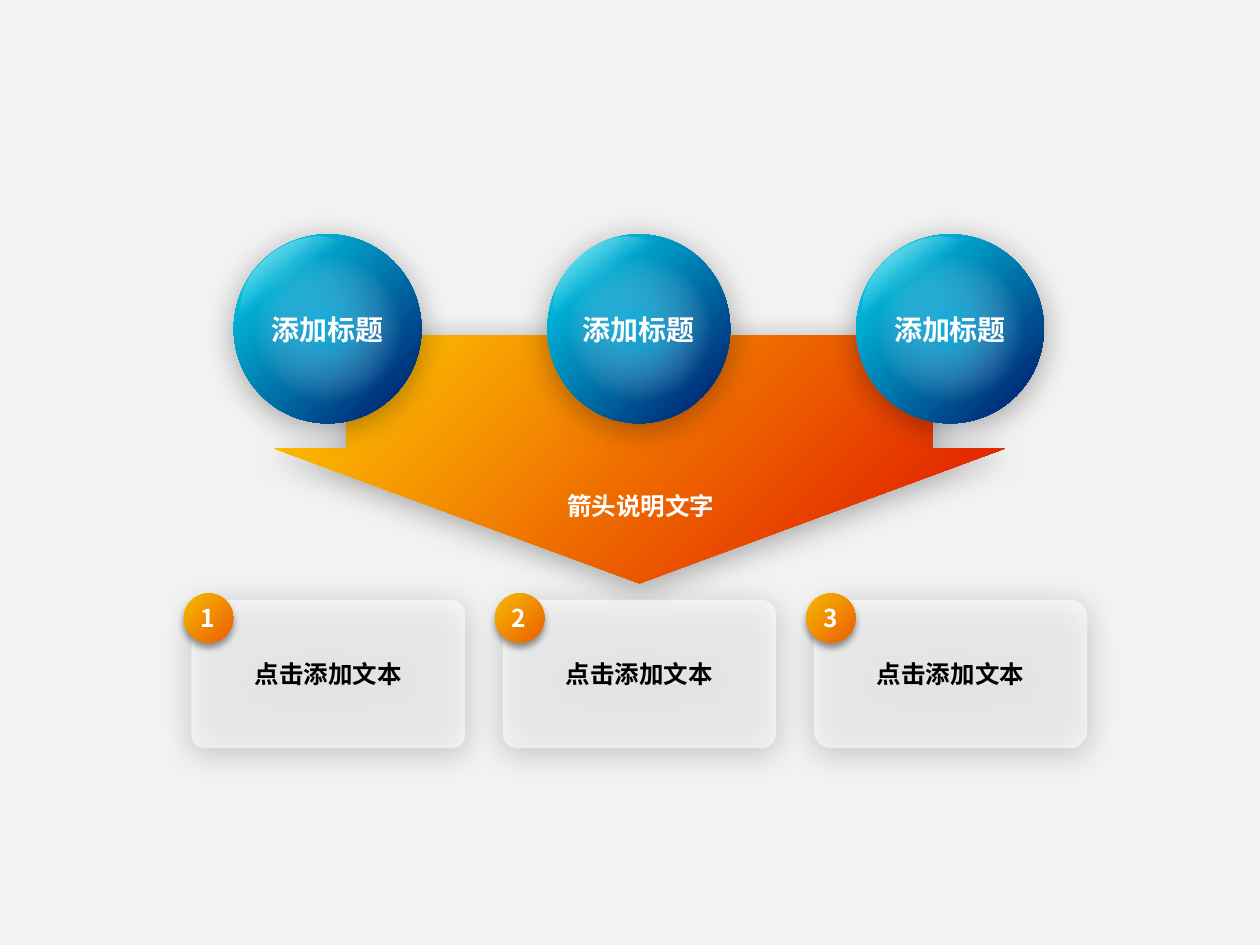
from lxml import etree
from pptx import Presentation
from pptx.dml.color import RGBColor
from pptx.enum.shapes import MSO_SHAPE
from pptx.enum.text import MSO_ANCHOR, MSO_AUTO_SIZE, PP_ALIGN
from pptx.oxml.ns import qn
from pptx.util import Inches, Pt

OVAL = MSO_SHAPE.OVAL
CARD = MSO_SHAPE.ROUNDED_RECTANGLE
ARROW = MSO_SHAPE.DOWN_ARROW
CENTER = PP_ALIGN.CENTER
MIDDLE = MSO_ANCHOR.MIDDLE
GROW = MSO_AUTO_SIZE.SHAPE_TO_FIT_TEXT
FONT = "Noto Sans CJK SC"

ARROW_TEXT = "箭头说明文字"
COLUMNS = [
    {"title": "添加标题", "number": "1", "text": "点击添加文本", "ball": 1.49, "corner": 0.088},
    {"title": "添加标题", "number": "2", "text": "点击添加文本", "ball": 1.45, "corner": 0.102},
    {"title": "添加标题", "number": "3", "text": "点击添加文本", "ball": 1.49, "corner": 0.119},
]
FIRST_CENTER, PITCH = 2.6, 2.47

ARROW_FILL = [(0, "FFCF01", 100), (90, "E22000", 100)]
BADGE_FILL = [(0, "F6BB00", 100), (90, "ED6601", 100)]
BALL_FILL = [(0, "00DFF6", 100), (90, "002774", 100)]
SHINE_FILL = [(0, "FFFFFF", 100), (45, "FFFFFF", 0)]
GLOW_FILL = [(10, "2DD7FF", 50), (70, "FFFFFF", 0)]
SOFT_SHADOW = (33, 17.8, 3, 87)
BADGE_SHADOW = (40, 4, 3, 90)


def rgb(value):
    return RGBColor.from_string(value)


def sub(parent, tag, **attrs):
    el = etree.SubElement(parent, qn(tag))
    for key, value in attrs.items():
        el.set(key, str(value))
    return el


def add_color(parent, color, alpha):
    sub(sub(parent, "a:srgbClr", val=color), "a:alpha", val=alpha * 1000)


def add_shape(shapes, kind, box, shadow=None):
    sp = shapes.add_shape(kind, *map(Inches, box))
    sp.line.fill.background()
    sp.shadow.inherit = False
    if shadow:
        alpha, blur, dist, angle = shadow
        effects = sp._element.spPr.find(qn("a:effectLst"))
        outer = sub(effects, "a:outerShdw", blurRad=Pt(blur), dist=Pt(dist),
                    dir=angle * 60000, algn="ctr", rotWithShape=0)
        add_color(outer, "000000", alpha)
    return sp


def fill_gradient(sp, stops, angle=None):
    grad = etree.Element(qn("a:gradFill"), rotWithShape="1")
    stop_list = sub(grad, "a:gsLst")
    for pos, color, alpha in stops:
        add_color(sub(stop_list, "a:gs", pos=pos * 1000), color, alpha)
    if angle is None:
        radial = sub(grad, "a:path", path="circle")
        sub(radial, "a:fillToRect", l=50000, t=50000, r=50000, b=50000)
    else:
        sub(grad, "a:lin", ang=angle * 60000, scaled=0)
    sp._element.spPr.find(qn("a:ln")).addprevious(grad)


def write(sp, text, size, color, font=FONT):
    tf = sp.text_frame
    tf.word_wrap = True
    tf.text = text
    p = tf.paragraphs[0]
    p.alignment = CENTER
    r = p.runs[0]
    r.font.size = Pt(size)
    r.font.bold = True
    r.font.color.rgb = rgb(color)
    r.font.name = font
    sub(r.font._element, "a:ea", typeface=font)


def add_text(shapes, box, text, size, font=FONT):
    sp = shapes.add_textbox(*map(Inches, box))
    write(sp, text, size, "FFFFFF", font)
    sp.text_frame.auto_size = GROW


def add_card(shapes, cx, column):
    sp = add_shape(shapes, CARD, (cx - 1.08, 4.76, 2.17, 1.18), SOFT_SHADOW)
    sp.adjustments[0] = column["corner"]
    sp.fill.solid()
    sp.fill.fore_color.rgb = rgb("FFFFFF")
    sub(sp._element.spPr.find(qn("a:solidFill"))[0], "a:alpha", val=60000)
    write(sp, column["text"], 14, "000000")
    sp.text_frame.vertical_anchor = MIDDLE


def add_badge(shapes, cx, number):
    group = shapes.add_group_shape().shapes
    sp = add_shape(group, OVAL, (cx - 1.14, 4.71, 0.39, 0.39), BADGE_SHADOW)
    fill_gradient(sp, BADGE_FILL, 45)
    add_text(group, (cx - 1.13, 4.74, 0.36, 0.34), number, 14)


def add_ball(shapes, cx, column):
    group = shapes.add_group_shape().shapes
    w = column["ball"]
    left = cx - w / 2
    sp = add_shape(group, OVAL, (left, 1.86, w, 1.5), SOFT_SHADOW)
    fill_gradient(sp, BALL_FILL, 45)
    shine = add_shape(group, OVAL, (left, 1.94, w * 0.68, 0.69))
    shine.rotation = 323.1
    fill_gradient(shine, SHINE_FILL, 90)
    glow = add_shape(group, OVAL, (left + 0.16, 2.02, w - 0.32, 1.18))
    fill_gradient(glow, GLOW_FILL)
    add_text(shapes, (cx - 0.67, 2.43, 1.34, 0.37), column["title"], 16)


def main():
    prs = Presentation()
    prs.slide_width, prs.slide_height = Inches(10), Inches(7.5)
    s = prs.slides.add_slide(prs.slide_layouts[6])
    s.background.fill.solid()
    s.background.fill.fore_color.rgb = rgb("F2F2F2")

    arrow = add_shape(s.shapes, ARROW, (2.18, 2.66, 5.79, 1.97), SOFT_SHADOW)
    arrow.adjustments[0] = 0.804
    arrow.adjustments[1] = 0.542
    fill_gradient(arrow, ARROW_FILL, 45)
    add_text(s.shapes, (3.84, 3.85, 2.49, 0.34), ARROW_TEXT, 14, "Arial")

    for i, column in enumerate(COLUMNS):
        cx = FIRST_CENTER + i * PITCH
        add_card(s.shapes, cx, column)
        add_badge(s.shapes, cx, column["number"])
        add_ball(s.shapes, cx, column)
    prs.save("out.pptx")


if __name__ == "__main__":
    main()
